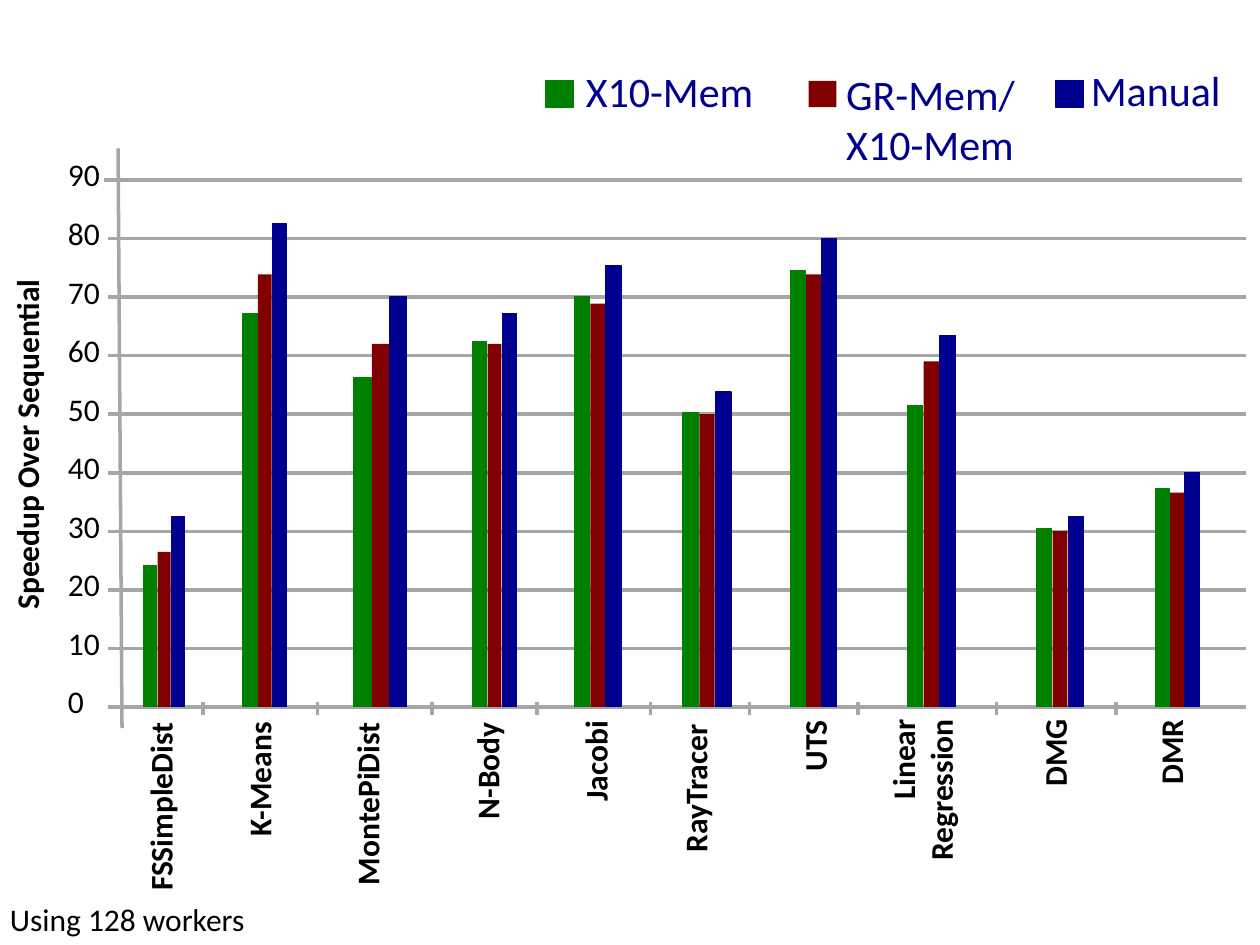
import pptx
import pptx.util
import pptx.dml.color
import pptx.enum.shapes
import pptx.enum.text
from lxml import etree
from pptx.util import Cm, Pt

COLOURS = {
    "black": "000000",
    "grid": "A6A6A6",
    "green": "008000",
    "red": "800000",
    "blue": "000090",
}
SERIES = ("green", "red", "blue")
OUTLINED = ("green", "blue")
ALIGN = pptx.enum.text.PP_ALIGN
MAXIMUM = 90

# name lines, first bar, bar pitch, label centre, label length, values
CATEGORIES = [
    (["FSSimpleDist"], 0.72, 0.28, 1.05, 3.96, (24.1, 26.5, 32.5)),
    (["K-Means"], 2.72, 0.30, 3.04, 2.87, (67.2, 73.9, 82.5)),
    (["MontePiDist"], 4.96, 0.36, 5.22, 3.84, (56.2, 62, 70)),
    (["N-Body"], 7.35, 0.30, 7.64, 2.51, (62.4, 62, 67.2)),
    (["Jacobi"], 9.40, 0.32, 9.82, 2.16, (70, 68.9, 75.4)),
    (["RayTracer"], 11.59, 0.33, 11.83, 3.18, (50.2, 50, 53.8)),
    (["UTS"], 13.75, 0.32, 14.24, 1.55, (74.5, 73.9, 80)),
    (["Linear", "Regression"], 16.11, 0.33, 16.41, 3.40, (51.5, 59, 63.5)),
    (["DMG"], 18.72, 0.32, 19.08, 1.88, (30.4, 30, 32.5)),
    (["DMR"], 21.11, 0.30, 21.42, 1.83, (37.3, 36.6, 40)),
]
RIGHT_ALIGNED = ("Linear", "DMG", "DMR")
TICKS = (1.91, 4.22, 6.53, 8.64, 10.93, 12.93, 15.12, 17.91, 20.32)


def colour(name):
    return pptx.dml.color.RGBColor.from_string(COLOURS[name])


def add_text(shapes, lines, left, top, width, height, size=18, name="black",
             bold=False, rotation=0, alignment=ALIGN.LEFT):
    shape = shapes.add_textbox(Cm(left), Cm(top), Cm(width), Cm(height))
    shape.rotation = rotation
    frame = shape.text_frame
    frame.word_wrap = False
    frame.auto_size = pptx.enum.text.MSO_AUTO_SIZE.SHAPE_TO_FIT_TEXT
    for index, line in enumerate(lines):
        paragraph = frame.add_paragraph() if index else frame.paragraphs[0]
        paragraph.alignment = alignment
        run = paragraph.add_run()
        run.text = line
        run.font.name = "Calibri"
        run.font.size = Pt(size)
        run.font.bold = bold
        run.font.color.rgb = colour(name)


def add_vertical_text(shapes, lines, centre_x, centre_y, length, height,
                      alignment=ALIGN.LEFT):
    add_text(shapes, lines, centre_x - length / 2, centre_y - height / 2,
             length, height, bold=True, rotation=270, alignment=alignment)


def add_line(shapes, x1, y1, x2, y2):
    connector = shapes.add_connector(
        pptx.enum.shapes.MSO_CONNECTOR.STRAIGHT, Cm(x1), Cm(y1), Cm(x2), Cm(y2))
    connector.line.color.rgb = colour("grid")
    connector.line.width = Pt(2)
    etree.SubElement(connector._element.spPr, pptx.oxml.ns.qn("a:effectLst"))


def add_block(shapes, left, top, width, height, name):
    shape = shapes.add_shape(pptx.enum.shapes.MSO_SHAPE.RECTANGLE,
                             Cm(left), Cm(top), Cm(width), Cm(height))
    shape.shadow.inherit = False
    shape.fill.solid()
    shape.fill.fore_color.rgb = colour(name)
    if name in OUTLINED:
        shape.line.color.rgb = colour(name)
        shape.line.width = Pt(0.75)
    else:
        shape.line.fill.background()


def add_value_axis(shapes, left, top, width, height):
    for value in range(0, MAXIMUM + 1, 10):
        y = top + height * (1 - value / MAXIMUM)
        start = left - 0.08 if value == MAXIMUM else left
        add_line(shapes, start, y, start + width, y)
        add_text(shapes, [str(value)], left - 1.06, y - 0.62,
                 1.17 if value else 0.84, 1.02)
    add_line(shapes, left + 0.2, top - 0.64, left + 0.28, top + height + 0.43)
    add_vertical_text(shapes, ["Speedup Over Sequential"],
                      left - 1.64, top + 5.29, 7.24, 1.02)


def add_categories(shapes, left, top, width, height):
    base = top + height
    for tick in TICKS:
        add_line(shapes, left + tick, base - 0.1, left + tick, base + 0.16)
    for lines, first, pitch, centre, length, values in CATEGORIES:
        alignment = ALIGN.RIGHT if lines[0] in RIGHT_ALIGNED else ALIGN.LEFT
        add_vertical_text(shapes, lines, left + centre, base + length / 2,
                          length, 1.02 + 0.78 * (len(lines) - 1), alignment)
        for index, (name, value) in enumerate(zip(SERIES, values)):
            bar = height * value / MAXIMUM
            add_block(shapes, left + first + index * pitch, base - bar,
                      pitch - 0.02, bar, name)


def add_legend(shapes, left, top):
    entries = [
        ("green", ["X10-Mem"], 0, 0.56, -0.43, 3.94),
        ("red", ["GR-Mem/", "X10-Mem"], 5.3, 0.51, -0.38, 3.96),
        ("blue", ["Manual"], 10.28, 0.46, -0.46, 3.15),
    ]
    for name, lines, offset, text_x, text_y, width in entries:
        group = shapes.add_group_shape()
        add_block(group.shapes, left + offset, top, 0.56, 0.53, name)
        add_text(group.shapes, lines, left + offset + text_x, top + text_y,
                 width, 1.27 + 1.04 * (len(lines) - 1), size=24, name="blue")


def main():
    presentation = pptx.Presentation()
    presentation.slide_width = Cm(25.4)
    presentation.slide_height = Cm(19.05)
    slide = presentation.slides.add_slide(presentation.slide_layouts[6])
    plot = (2.18, 3.63, 22.94, 10.62)
    add_value_axis(slide.shapes, *plot)
    add_categories(slide.shapes, *plot)
    add_legend(slide.shapes, 11, 1.63)
    add_text(slide.shapes, ["Using 128 workers"], -0.05, 18.01, 5.33, 1.02)
    presentation.save("out.pptx")


if __name__ == "__main__":
    main()
